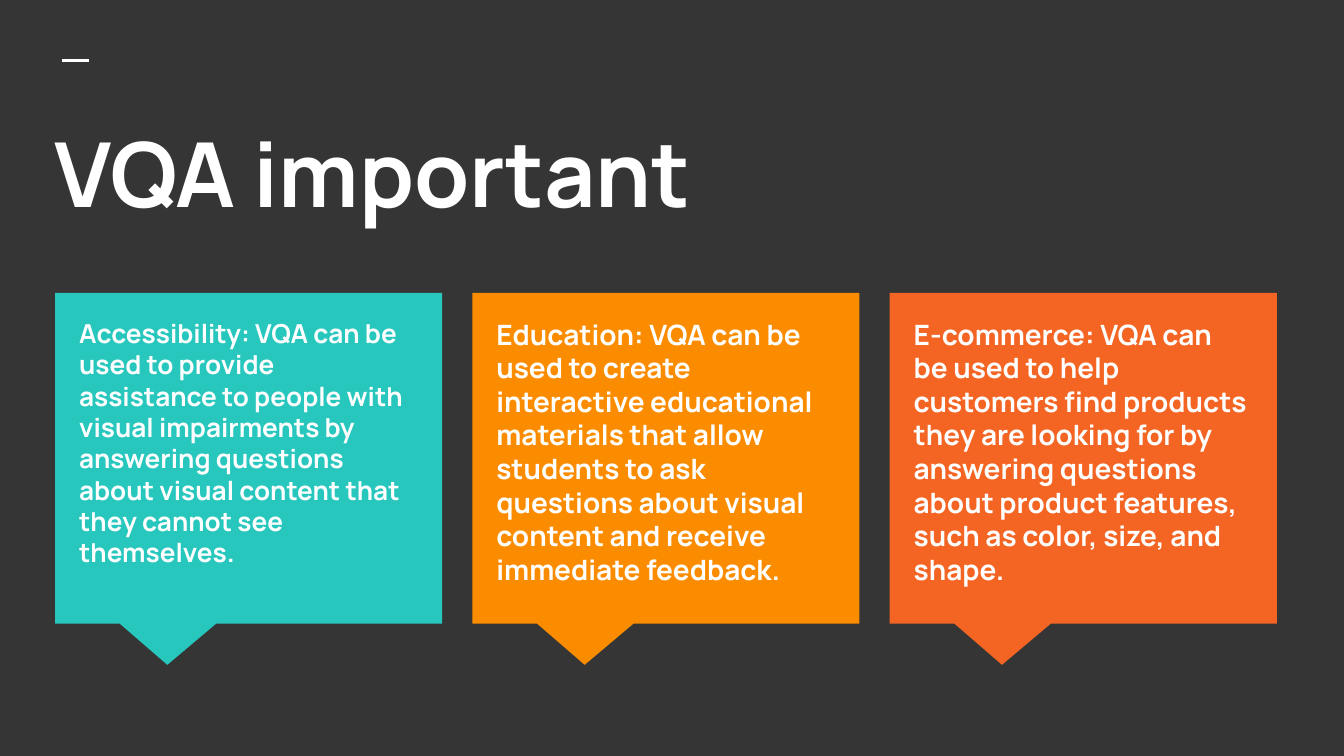
from dataclasses import dataclass

from lxml.etree import SubElement
from pptx import Presentation
from pptx.dml.color import RGBColor
from pptx.enum.shapes import MSO_CONNECTOR as Connector, MSO_SHAPE as Shape
from pptx.enum.text import MSO_ANCHOR as Anchor, PP_ALIGN as Align
from pptx.oxml.ns import qn
from pptx.util import Inches, Pt


@dataclass(frozen=True)
class Theme:
    font: str = "Manrope"
    background: str = "353535"
    light: str = "FFFFFF"
    teal: str = "27C7BD"
    amber: str = "FB8C00"
    orange: str = "F46524"
    title_size: int = 48
    card_size: int = 15
    small_card_size: int = 14
    rule_width: float = 1.5


@dataclass(frozen=True)
class CardGrid:
    left: float = 0.41
    right: float = 9.5
    top: float = 2.18
    width: float = 2.88
    height: float = 2.46
    columns: int = 3

    def column(self, index):
        pitch = (self.right - self.left - self.width) / (self.columns - 1)
        return self.left + index * pitch


class SlideBuilder:
    def __init__(self, presentation, theme, grid):
        self.theme = theme
        self.grid = grid
        self.slide = presentation.slides.add_slide(presentation.slide_layouts[6])
        fill = self.slide.background.fill
        fill.solid()
        fill.fore_color.rgb = RGBColor.from_string(theme.background)

    def rule(self, left, top, length):
        line = self.slide.shapes.add_connector(
            Connector.STRAIGHT, Inches(left), Inches(top), Inches(left + length), Inches(top))
        line.line.color.rgb = RGBColor.from_string(self.theme.light)
        line.line.width = Pt(self.theme.rule_width)
        SubElement(line._element.spPr, qn("a:effectLst"))

    def text(self, left, top, width, height, words, size, space_after=0):
        box = self.slide.shapes.add_textbox(*map(Inches, (left, top, width, height)))
        frame = box.text_frame
        frame.word_wrap = True
        frame.vertical_anchor = Anchor.TOP
        frame.margin_left = frame.margin_right = Inches(0.1)
        frame.margin_top = frame.margin_bottom = Inches(0.1)
        paragraph = frame.paragraphs[0]
        paragraph.alignment = Align.LEFT
        paragraph.space_after = Pt(space_after)
        run = paragraph.add_run()
        run.text = words
        run.font.name = self.theme.font
        run.font.size = Pt(size)
        run.font.bold = True
        run.font.color.rgb = RGBColor.from_string(self.theme.light)

    def card(self, column, color, words, size):
        grid = self.grid
        left = grid.column(column)
        callout = self.slide.shapes.add_shape(
            Shape.RECTANGULAR_CALLOUT,
            *map(Inches, (left, grid.top, grid.width, grid.height)))
        callout.adjustments[0] = -0.21
        callout.adjustments[1] = 0.625
        callout.shadow.inherit = False
        callout.fill.solid()
        callout.fill.fore_color.rgb = RGBColor.from_string(color)
        callout.line.fill.background()
        self.text(left + 0.08, grid.top + 0.08, 2.7, 2.19, words, size, space_after=12)


def main():
    theme = Theme()
    presentation = Presentation()
    presentation.slide_width = Inches(10)
    presentation.slide_height = Inches(10 * 9 / 16)
    builder = SlideBuilder(presentation, theme, CardGrid())

    # Heading
    builder.rule(0.46, 0.45, 0.2)
    builder.text(0.31, 0.78, 9.43, 1.12, "VQA important", theme.title_size)

    # Three uses, one callout each
    uses = [
        (theme.teal, theme.small_card_size,
         "Accessibility: VQA can be used to provide assistance to people with visual "
         "impairments by answering questions about visual content that they cannot see "
         "themselves."),
        (theme.amber, theme.card_size,
         "Education: VQA can be used to create interactive educational materials that "
         "allow students to ask questions about visual content and receive immediate "
         "feedback."),
        (theme.orange, theme.card_size,
         "E-commerce: VQA can be used to help customers find products they are looking "
         "for by answering questions about product features, such as color, size, and "
         "shape."),
    ]
    for column, (color, size, words) in enumerate(uses):
        builder.card(column, color, words, size)

    presentation.save("out.pptx")


if __name__ == "__main__":
    main()
